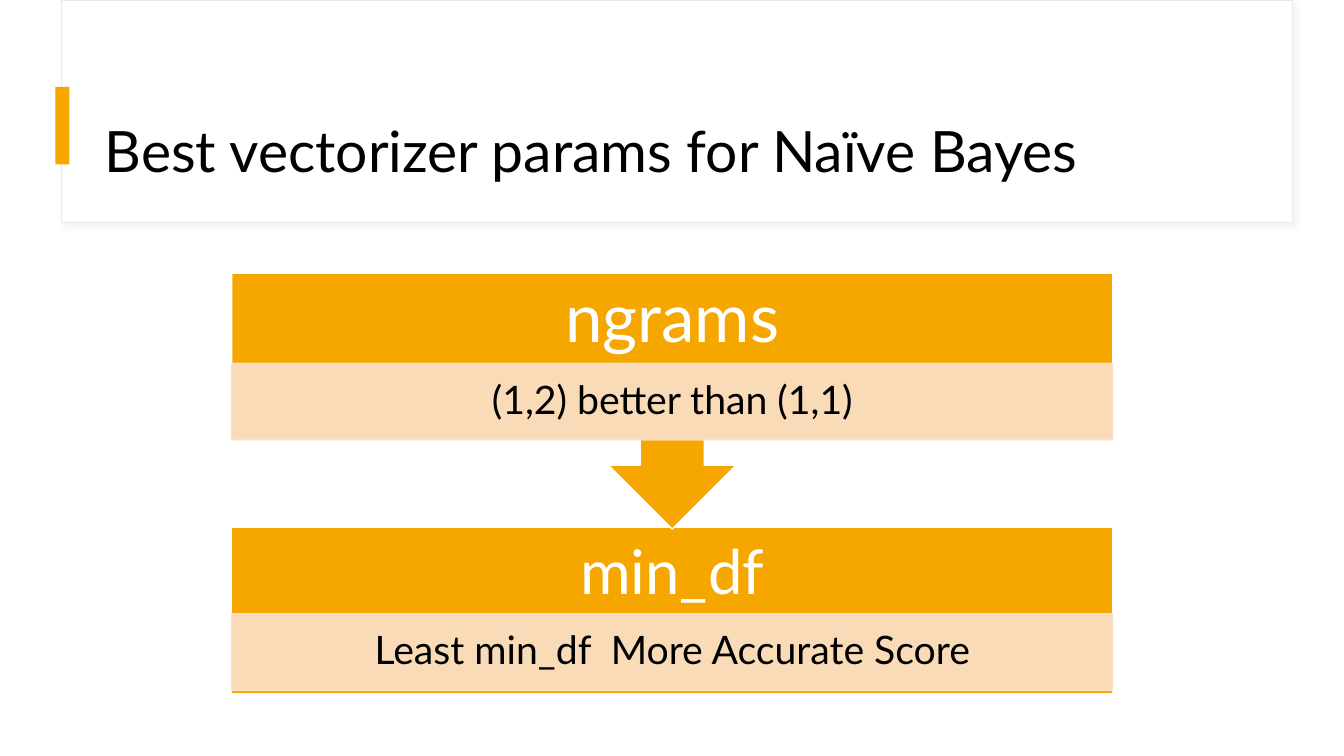
from lxml import etree
from pptx import Presentation
from pptx.dml.color import RGBColor
from pptx.enum.shapes import MSO_SHAPE
from pptx.enum.text import MSO_ANCHOR, MSO_AUTO_SIZE, PP_ALIGN
from pptx.oxml.ns import qn
from pptx.util import Pt

RECT = MSO_SHAPE.RECTANGLE
CALLOUT = MSO_SHAPE.DOWN_ARROW_CALLOUT
MIDDLE = MSO_ANCHOR.MIDDLE
LEFT, CENTER = PP_ALIGN.LEFT, PP_ALIGN.CENTER
NO_AUTOSIZE = MSO_AUTO_SIZE.NONE


def rgb(value):
    return RGBColor.from_string(value)


class SlideBuilder:
    font = "Lato"
    accent, tint = "F5A700", "FBE1CC"
    white, black = "FFFFFF", "000000"

    def __init__(self, slide):
        self.slide = slide

    def shape(self, kind, x, y, w, h, fill, line=None, weight=1):
        sp = self.slide.shapes.add_shape(kind, Pt(x), Pt(y), Pt(w), Pt(h))
        sp.shadow.inherit = False
        sp.fill.solid()
        sp.fill.fore_color.rgb = rgb(fill)
        if line:
            sp.line.color.rgb = rgb(line)
            sp.line.width = Pt(weight)
        else:
            sp.line.fill.background()
        return sp

    def text(self, sp, text, size, color, align=CENTER, side=7.2, bottom=3.6):
        tf = sp.text_frame
        tf.word_wrap = True
        tf.auto_size = NO_AUTOSIZE
        tf.vertical_anchor = MIDDLE
        tf.margin_left = tf.margin_right = Pt(side)
        tf.margin_top, tf.margin_bottom = Pt(min(bottom, 3.6)), Pt(bottom)
        tf.text = text
        p = tf.paragraphs[0]
        p.alignment = align
        p.line_spacing = 0.9
        p.font.name = self.font
        p.font.size = Pt(size)
        p.font.color.rgb = rgb(color)

    def opacity(self, sp, percent):
        """Make the fill and the line of a shape partly transparent."""
        for color in sp._element.spPr.iter(qn("a:srgbClr")):
            etree.SubElement(color, qn("a:alpha"), val=str(percent * 1000))

    def soft_shadow(self, sp):
        effects = sp._element.spPr.find(qn("a:effectLst"))
        shadow = etree.SubElement(
            effects, qn("a:outerShdw"), blurRad=str(Pt(4)), dist=str(Pt(3)),
            dir=str(45 * 60000), algn="tl", rotWithShape="0")
        color = etree.SubElement(shadow, qn("a:srgbClr"), val="D9D9D9")
        etree.SubElement(color, qn("a:alpha"), val="30000")

    def title(self, text, x, y, w, h):
        sp = self.slide.shapes.title
        sp.left, sp.top, sp.width, sp.height = Pt(x), Pt(y), Pt(w), Pt(h)
        self.text(sp, text, 40.7, self.black, LEFT)
        # Bring the title in front of the header panel.
        self.slide.shapes._spTree.append(sp._element)

    def step(self, kind, y, h, heading, size, detail, detail_y):
        """Draw a heading block with a tinted detail band inside it."""
        x, w, band = 165.6, 629.3, 54.7
        block = self.shape(kind, x, y, w, h, self.accent, self.white)
        self.text(block, heading, size, self.white, bottom=band)
        strip = self.shape(RECT, x, detail_y, w, band, self.tint, self.tint)
        self.opacity(strip, 90)
        self.text(strip, detail, 28, self.black, side=15.8, bottom=2.9)


def main():
    prs = Presentation()
    prs.slide_width, prs.slide_height = Pt(960), Pt(540)
    b = SlideBuilder(prs.slides.add_slide(prs.slide_layouts[5]))

    panel = b.shape(RECT, 44, 0, 879, 159, b.white, "E9E9E9", 0.75)
    b.soft_shadow(panel)
    b.shape(RECT, 39.6, 62, 10.1, 55.5, b.accent)
    b.title("Best vectorizer params for Naïve Bayes", 67.7, 64.8, 793.4, 90.7)

    b.step(RECT, 376.6, 118.8, "min_df", 44,
           "Least min_df  More Accurate Score", 438.5)
    b.step(CALLOUT, 195.1, 182.9, "ngrams", 48,
           "(1,2) better than (1,1)", 259.6)
    prs.save("out.pptx")


if __name__ == "__main__":
    main()
